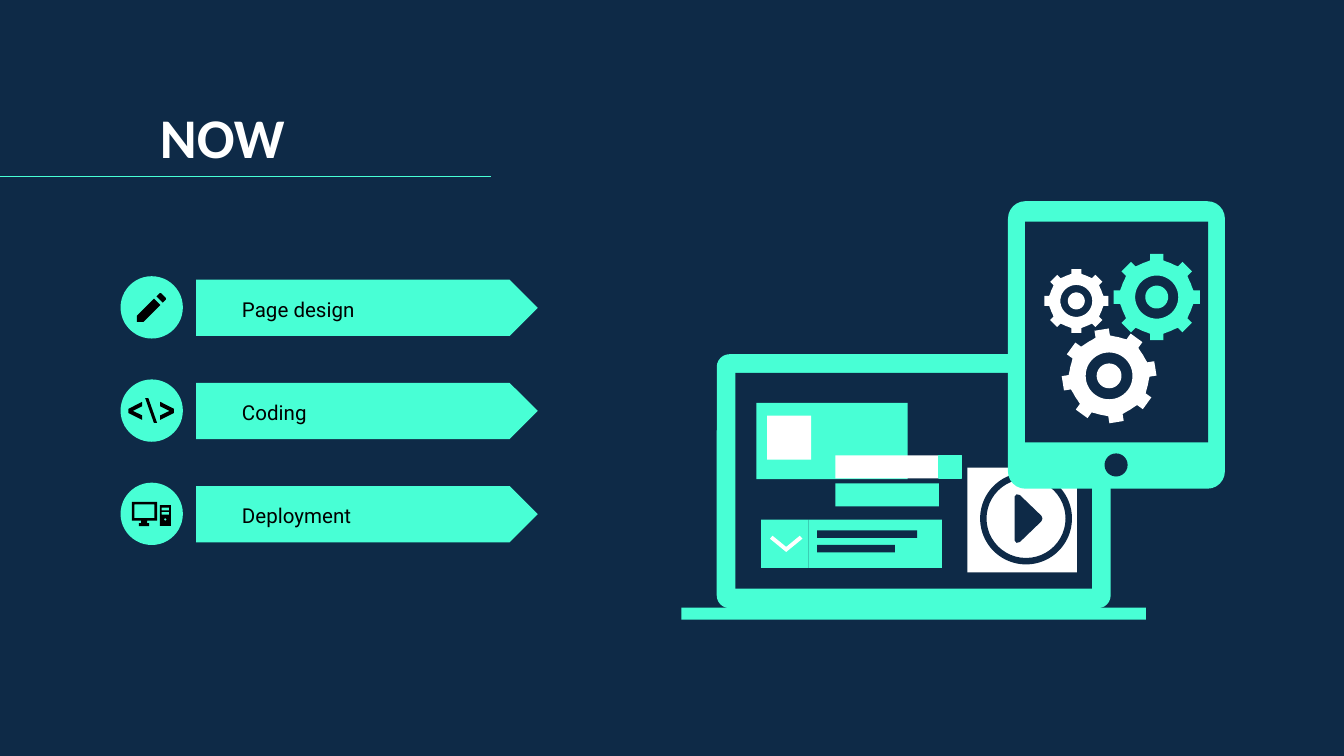
from math import cos, pi, sin

from lxml.etree import SubElement
from pptx import Presentation
from pptx.dml.color import RGBColor
from pptx.enum.shapes import MSO_CONNECTOR, MSO_SHAPE as Preset
from pptx.enum.text import MSO_ANCHOR, MSO_AUTO_SIZE, PP_ALIGN
from pptx.oxml.ns import qn
from pptx.util import Pt

NAVY, MINT, WHITE, BLACK = "0E2A47", "48FFD5", "FFFFFF", "000000"


def color(value):
    """Turn a hex string into a colour."""
    return RGBColor.from_string(value)


def paint(shape, fill, line=None):
    """Give a shape a flat fill and an optional outline."""
    shape.shadow.inherit = False
    shape.fill.solid()
    shape.fill.fore_color.rgb = color(fill)
    if line:
        shape.line.color.rgb = color(line)
        shape.line.width = Pt(0.75)
    else:
        shape.line.fill.background()


def panel(page, preset, box, fill, adjust=None, line=None):
    """Add a preset shape in a box of points."""
    shape = page.shapes.add_shape(preset, *map(Pt, box))
    if adjust is not None:
        shape.adjustments[0] = adjust
    paint(shape, fill, line)


def outline(page, left, top, contours, fill):
    """Draw closed contours, given relative to a corner, as one shape."""
    placed = [[(Pt(left + x), Pt(top + y)) for x, y in contour] for contour in contours]
    builder = page.shapes.build_freeform(*placed[0][0], scale=1.0)
    for index, contour in enumerate(placed):
        if index:
            builder.move_to(*contour[0])
        builder.add_line_segments(contour[1:], close=True)
    paint(builder.convert_to_shape(), fill)


def rectangle(left, top, right, bottom):
    """Return the corners of a rectangle."""
    return [(left, top), (right, top), (right, bottom), (left, bottom)]


def circle(x, y, radius, steps=48):
    """Return points around a circle."""
    angles = [2 * pi * step / steps for step in range(steps)]
    return [(x + radius * cos(angle), y + radius * sin(angle)) for angle in angles]


def write(holder, box, text, size, font, fill, bold=False):
    """Place a placeholder in front and fill it with formatted text."""
    holder.left, holder.top, holder.width, holder.height = map(Pt, box)
    holder.element.getparent().append(holder.element)
    frame = holder.text_frame
    frame.word_wrap = True
    frame.auto_size = MSO_AUTO_SIZE.NONE
    frame.vertical_anchor = MSO_ANCHOR.BOTTOM
    frame.margin_left = frame.margin_right = Pt(7.2)
    frame.margin_top = frame.margin_bottom = Pt(7.2)
    para = frame.paragraphs[0]
    para.alignment = PP_ALIGN.LEFT
    para.space_before = Pt(0)
    properties = para._p.get_or_add_pPr()
    properties.set("marL", "0")
    properties.set("indent", "0")
    SubElement(properties, qn("a:buNone"))
    span = para.add_run()
    span.text = text
    span.font.size, span.font.name, span.font.bold = Pt(size), font, bold
    span.font.color.rgb = color(fill)


def heading(page, left, top, width, height):
    """Place the title and the rule below it."""
    write(page.shapes.title, (left, top, width, height), "NOW", 30, "Calibri", WHITE, True)
    level = Pt(top + height - 3.5)
    rule = page.shapes.add_connector(MSO_CONNECTOR.STRAIGHT, 0, level, Pt(263), level)
    rule.line.color.rgb = color(MINT)
    rule.line.width = Pt(0.75)
    SubElement(rule.element.spPr, qn("a:effectLst"))


def pencil_icon(page, left, top):
    """Draw a pencil."""
    body = [(17.9, 12), (8.8, 21.1), (8.8, 24.5), (12.3, 24.5), (21.4, 15.4)]
    cap = [(21, 9.1), (19.2, 10.8), (22.6, 14.2), (24.3, 12.5), (24.3, 11.7), (21.8, 9.1)]
    outline(page, left, top, [body, cap], BLACK)


def code_icon(page, left, top):
    """Draw two angle brackets around a backslash."""
    bracket = [(11.6, 21.7), (4.2, 18), (4.2, 15.8), (11.6, 12),
               (11.6, 14.4), (6.6, 16.9), (11.6, 19.3)]
    slash = [(13.2, 10), (14.9, 10), (19.6, 23.3), (17.9, 23.3)]
    mirrored = [(32.8 - x, y) for x, y in bracket]
    for contour in (bracket, slash, mirrored):
        outline(page, left, top, [contour], BLACK)


def computer_icon(page, left, top):
    """Draw a monitor on a stand and a tower beside it."""
    monitor = [(6.1, 10.2), (19.6, 10.2), (19.6, 20.3), (14.3, 20.3), (14.3, 21.7),
               (15.4, 21.7), (15.4, 23.2), (9.8, 23.2), (9.8, 21.7), (11.1, 21.7),
               (11.1, 20.3), (6.1, 20.3)]
    outline(page, left, top, [monitor, rectangle(7.4, 11.6, 18.2, 19)], BLACK)
    tower = [rectangle(21.1, 12, 27, 23.2), rectangle(22, 13.4, 26, 14.8),
             rectangle(22, 15.7, 26, 17.1), circle(24, 19.7, 0.6)]
    outline(page, left, top, tower, BLACK)


def step(page, left, top, holder, text, draw_icon):
    """Place one row: a round icon, an arrow and its label."""
    panel(page, Preset.PENTAGON, (left + 40.5, top + 1.8, 183, 30.2), MINT, 0.5)
    panel(page, Preset.OVAL, (left, top, 33.4, 33.4), MINT)
    draw_icon(page, left, top)
    write(holder, (left + 57.8, top + 16.2, 163.4, 15.1), text, 11, "Roboto", BLACK)


def laptop(page, left, top):
    """Draw a laptop with a page layout on its screen."""
    def part(x, y, width, height, fill, preset=Preset.RECTANGLE, **options):
        """Place one part of the laptop."""
        panel(page, preset, (left + x, top + y, width, height), fill, **options)

    part(19, 0, 211, 136, MINT, Preset.ROUNDED_RECTANGLE, adjust=0.05)
    part(29, 10, 191, 115.6, NAVY)
    part(0, 135.7, 249, 6.5, MINT)
    part(40.2, 26, 81, 41, MINT)
    part(46, 32.8, 23.6, 23.6, WHITE)
    part(68.2, 88.6, 71.4, 25.9, MINT)
    part(72.8, 94.4, 53.5, 4, NAVY)
    part(72.8, 102.1, 41.6, 4, NAVY)
    part(42.8, 88.6, 25.4, 25.9, MINT)
    chevron = [(48.9, 97.2), (56.2, 103.2), (63.5, 97.2), (64.9, 98.8),
               (56.2, 105.9), (47.5, 98.8)]
    outline(page, left, top, [chevron], WHITE)
    part(82.5, 69.2, 55.5, 12.3, MINT)
    part(82.5, 54.2, 55.5, 12.3, WHITE)
    part(138, 54.2, 12.2, 12.2, MINT, line=MINT)
    part(153.2, 60.7, 58.7, 56.2, WHITE)
    part(160.1, 63.4, 49.2, 49.2, NAVY, Preset.DONUT, adjust=0.07)
    arrow = [(178.6, 76.2), (179.6, 75), (181.4, 75.4), (192.9, 86.5), (193.5, 88),
             (192.9, 89.5), (181.4, 100.6), (179.6, 101), (178.6, 99.8)]
    outline(page, left, top, [arrow], NAVY)


def gear(page, x, y, radius, fill, turn=0.0):
    """Draw an eight-toothed gear with a ring and a hub."""
    body, half = radius * 0.85, radius * 0.155
    spread = half / body
    rim = []
    for tooth in range(8):
        angle = turn + tooth * pi / 4
        for reach, side in ((body, -half), (radius, -half), (radius, half), (body, half)):
            rim.append((x + reach * cos(angle) - side * sin(angle),
                        y + reach * sin(angle) + side * cos(angle)))
        gap = pi / 4 - 2 * spread
        for part in (0.25, 0.5, 0.75):
            along = angle + spread + gap * part
            rim.append((x + body * cos(along), y + body * sin(along)))
    contours = [rim, circle(x, y, radius * 0.5), circle(x, y, radius * 0.265)]
    outline(page, 0, 0, contours, fill)


def tablet(page, left, top):
    """Draw a tablet with three gears on its screen."""
    panel(page, Preset.ROUNDED_RECTANGLE, (left, top, 116.2, 154), MINT, 0.08)
    panel(page, Preset.RECTANGLE, (left + 9.2, top + 11, 98, 118.2), NAVY)
    panel(page, Preset.OVAL, (left + 51.7, top + 135.1, 12.4, 12.4), NAVY)
    gear(page, left + 79.7, top + 51.4, 23.1, MINT)
    gear(page, left + 36.6, top + 53.4, 17.1, WHITE)
    gear(page, left + 54.2, top + 93.6, 25.1, WHITE, -0.16)


def main():
    """Build the deck and save it."""
    deck = Presentation()
    deck.slide_width, deck.slide_height = Pt(720), Pt(405)
    page = deck.slides.add_slide(deck.slide_layouts[4])
    page.background.fill.solid()
    page.background.fill.fore_color.rgb = color(NAVY)
    _, *holders, spare = page.placeholders
    spare.element.getparent().remove(spare.element)
    heading(page, 78.5, 50.4, 617, 47.5)
    steps = [("Page design", pencil_icon), ("Coding", code_icon), ("Deployment", computer_icon)]
    for row, (holder, (text, draw_icon)) in enumerate(zip(holders, steps)):
        step(page, 64.6, 148 + 55.3 * row, holder, text, draw_icon)
    laptop(page, 365, 189.8)
    tablet(page, 540, 107.8)
    deck.save("out.pptx")


if __name__ == "__main__":
    main()
